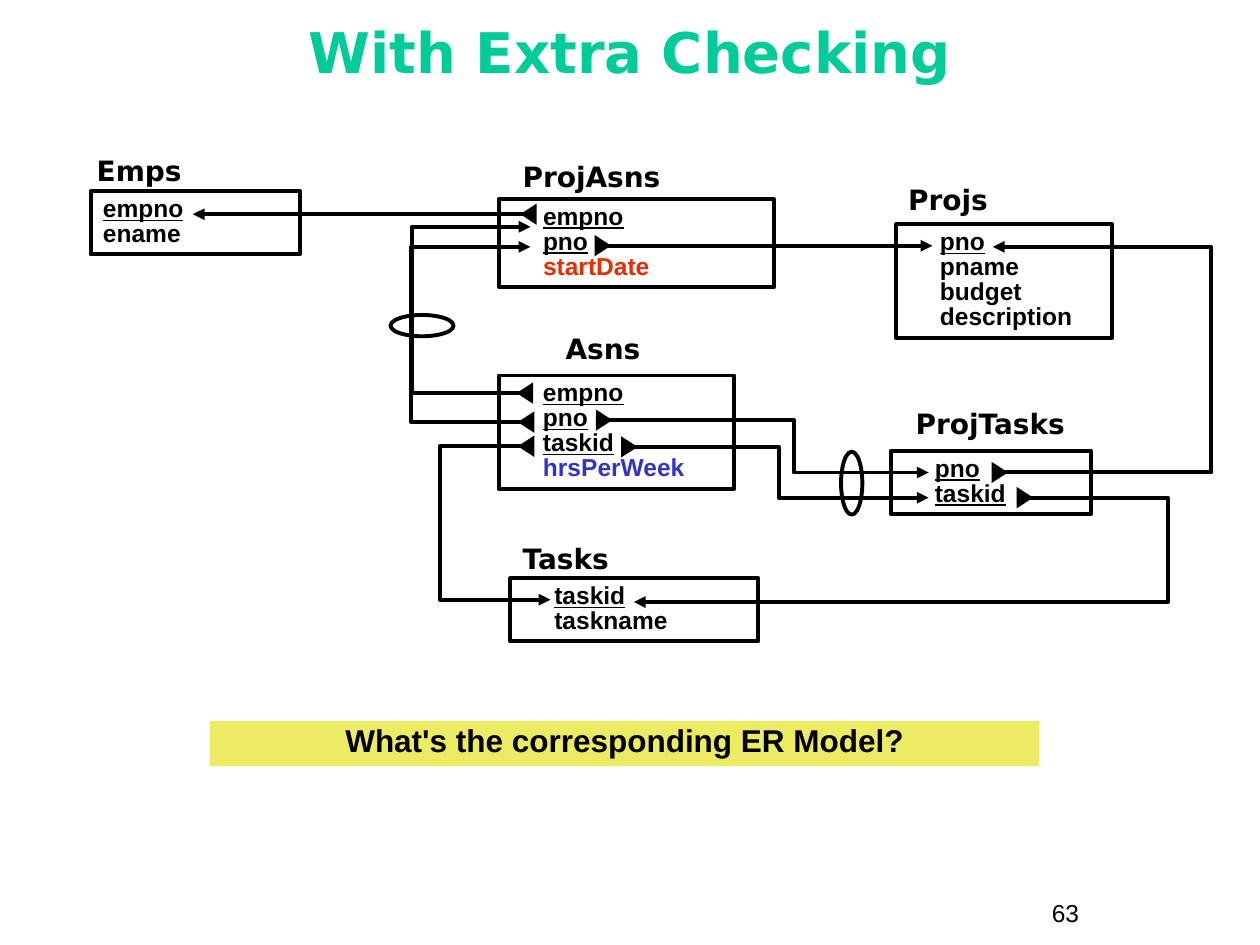
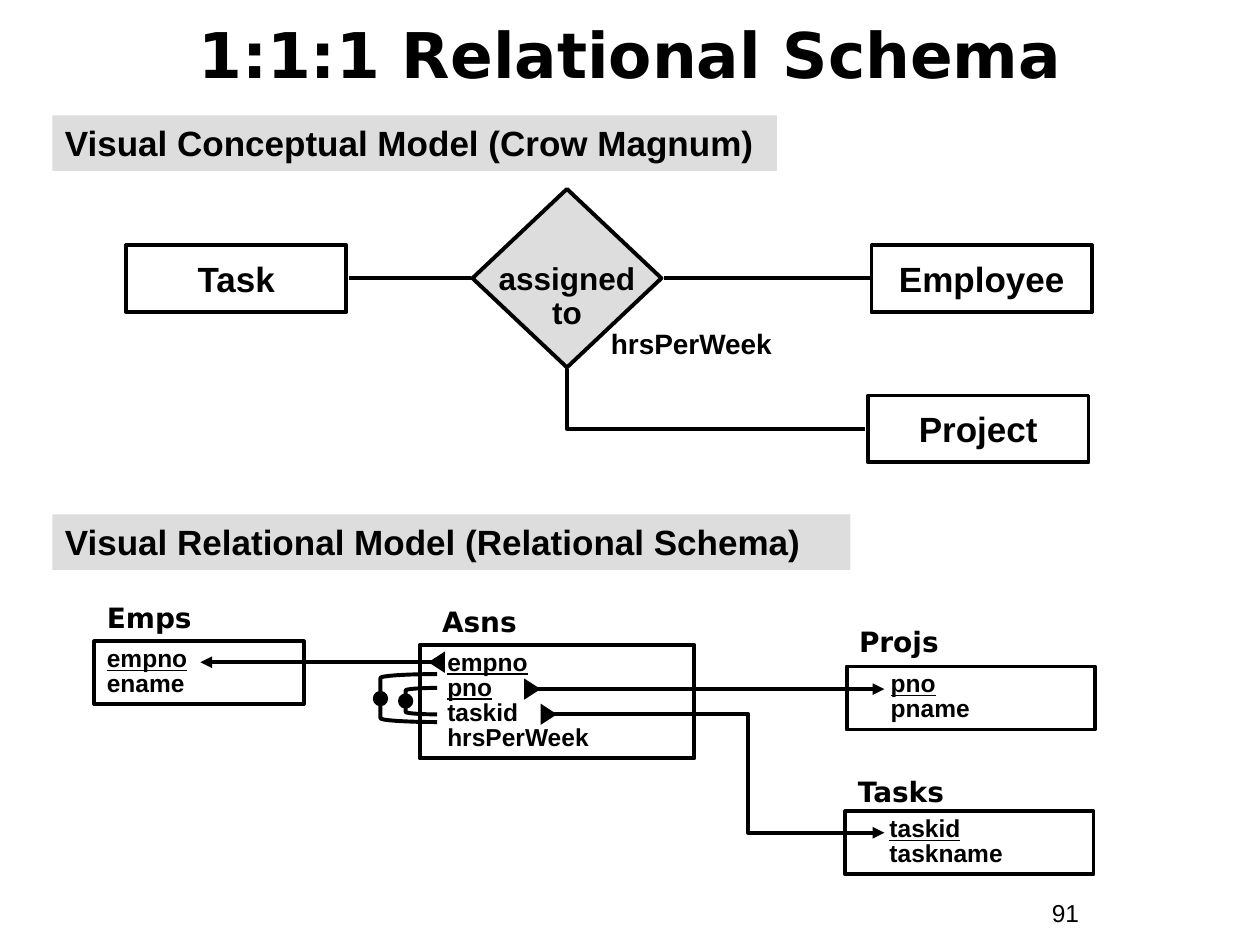
from dataclasses import dataclass
from math import cos, pi, sin

from lxml.etree import SubElement
from pptx import Presentation
from pptx.dml.color import RGBColor
from pptx.enum.shapes import MSO_CONNECTOR as CONN, MSO_SHAPE as SHAPE
from pptx.enum.text import MSO_ANCHOR as ANCHOR, MSO_AUTO_SIZE as AUTO, PP_ALIGN as ALIGN
from pptx.oxml.ns import qn
from pptx.util import Pt


@dataclass(frozen=True)
class Theme:
    black: str = "000000"
    white: str = "FFFFFF"
    green: str = "00CC99"
    red: str = "EA2D00"
    blue: str = "3333CC"
    yellow: str = "EDEA63"
    grey: str = "DDDDDD"
    heading_font: str = "DejaVu Sans"
    body_font: str = "Arial"
    line: float = 2.25
    field: float = 14
    label: float = 16
    question: float = 18
    entity: float = 20


T = Theme()


# Text and basic shapes

def write(tf, lines, size=T.field, font=T.body_font, color=T.black, bold=True,
          underlined=0, colors=None, align=ALIGN.LEFT, spacing=1.0,
          anchor=ANCHOR.TOP, wrap=True, left=7.2, top=3.6, bottom=3.6):
    """Write one paragraph per line; the first `underlined` lines are keys."""
    tf.word_wrap, tf.auto_size, tf.vertical_anchor = wrap, AUTO.NONE, anchor
    tf.margin_left, tf.margin_right = Pt(left), Pt(7.2)
    tf.margin_top, tf.margin_bottom = Pt(top), Pt(bottom)
    for i, line in enumerate(lines):
        p = tf.paragraphs[0] if i == 0 else tf.add_paragraph()
        p.alignment, p.line_spacing = align, spacing
        p.space_before = Pt(0)
        r = p.add_run()
        r.text = line
        f = r.font
        f.name, f.size, f.bold, f.underline = font, Pt(size), bold, i < underlined
        f.color.rgb = RGBColor.from_string((colors or {}).get(line, color))


def text_box(s, box, text, **fmt):
    sp = s.shapes.add_textbox(*map(Pt, box))
    write(sp.text_frame, [text], **fmt)


def style(sp, fill=None, line=True):
    sp.shadow.inherit = False
    if fill:
        sp.fill.solid()
        sp.fill.fore_color.rgb = RGBColor.from_string(fill)
    else:
        sp.fill.background()
    if line:
        sp.line.color.rgb = RGBColor.from_string(T.black)
        sp.line.width = Pt(T.line)
    else:
        sp.line.fill.background()


def shape(s, kind, box, fill=None, line=True):
    sp = s.shapes.add_shape(kind, *map(Pt, box))
    style(sp, fill, line)
    return sp


def connect(s, start, end, via_x=None, arrow=False):
    """Straight line, or an elbow whose vertical part lies at via_x."""
    kind = CONN.STRAIGHT if via_x is None else CONN.ELBOW
    c = s.shapes.add_connector(kind, *map(Pt, (*start, *end)))
    c.line.color.rgb = RGBColor.from_string(T.black)
    c.line.width = Pt(T.line)
    sp_pr = c._element.spPr
    if via_x is not None:
        adj = round((via_x - start[0]) / (end[0] - start[0]) * 100000)
        guides = sp_pr.find(qn("a:prstGeom")).get_or_add_avLst()
        SubElement(guides, qn("a:gd"), name="adj1", fmla=f"val {adj}")
    if arrow:
        SubElement(c.line._get_or_add_ln(), qn("a:tailEnd"), type="triangle")
    SubElement(sp_pr, qn("a:effectLst"))


# Diagram elements

def relation(s, name, label_at, box, fields, keys=1, indent=18, colors=None):
    text_box(s, (*label_at, 115, 26.6), name, size=T.label, font=T.heading_font)
    sp = shape(s, SHAPE.RECTANGLE, box)
    write(sp.text_frame, fields, underlined=keys, colors=colors,
          spacing=0.85, left=7.2 + indent)


def foreign_key(s, start, end, via_x=None):
    """Arrow to the referenced field, with a triangle at the referencing one."""
    connect(s, start, end, via_x, arrow=True)
    w, h = 12.2, 9.4
    x, y = start
    pin = shape(s, SHAPE.ISOSCELES_TRIANGLE, (x - w / 2, y - h / 2, w, h), T.black, False)
    pin.rotation = 90 if (end[0] if via_x is None else via_x) > x else 270


def banner(s, box, text, fill, **fmt):
    sp = shape(s, SHAPE.RECTANGLE, box, fill, line=False)
    write(sp.text_frame, [text], **fmt)


def entity(s, x, y, name):
    sp = shape(s, SHAPE.RECTANGLE, (x, y, 126, 38.2))
    write(sp.text_frame, [name], size=T.entity, align=ALIGN.CENTER,
          anchor=ANCHOR.MIDDLE, wrap=False)


def key_bracket(s, left, right, top, bottom, bend, dot_y):
    """Open bracket joining two fields, with a dot on its spine."""
    turns = [i * pi / 16 for i in range(9)]
    upper = [(right - (right - left) * sin(t), top + bend * (1 - cos(t))) for t in turns]
    lower = [(x, top + bottom - y) for x, y in reversed(upper)]
    points = [(Pt(x), Pt(y)) for x, y in upper + lower]
    builder = s.shapes.build_freeform(*points[0])
    builder.add_line_segments(points[1:], close=False)
    style(builder.convert_to_shape())
    d = 6.5
    shape(s, SHAPE.OVAL, (left - d / 2, dot_y - d / 2, d, d), T.black)


def new_slide(prs, title, number, box, size, color=T.black):
    s = prs.slides.add_slide(prs.slide_layouts[5])
    sp = s.shapes.title
    sp.left, sp.top, sp.width, sp.height = map(Pt, box)
    write(sp.text_frame, [title], size=size, font=T.heading_font, color=color,
          align=ALIGN.CENTER, anchor=ANCHOR.MIDDLE)
    text_box(s, (594, 509.8, 66, 24.5), number, bold=False)
    return s


# Slides

def extra_checking(prs):
    s = new_slide(prs, "With Extra Checking", "63", (24, 5, 672, 48), 32, T.green)

    # Composite key marker behind the links
    shape(s, SHAPE.OVAL, (223.2, 180, 36, 12.2), T.white)

    # Relations
    relation(s, "ProjAsns", (291.6, 87.8), (285.1, 113.8, 157, 50.4),
             ["empno", "pno", "startDate"], keys=2, colors={"startDate": T.red})
    relation(s, "Projs", (511.9, 100.8), (511.9, 128.2, 123.8, 64.8),
             ["pno", "pname", "budget description"])
    relation(s, "Emps", (48.2, 84.2), (51.8, 109.4, 119.5, 36),
             ["empno", "ename"], indent=0)
    relation(s, "Asns", (316.1, 185.8), (285.1, 214.6, 134.6, 64.8),
             ["empno", "pno", "taskid", "hrsPerWeek"], keys=3,
             colors={"hrsPerWeek": T.blue})
    relation(s, "Tasks", (291.6, 306), (291.6, 330.5, 141.8, 36),
             ["taskid", "taskname"])
    relation(s, "ProjTasks", (516.2, 229), (509, 257.8, 114.5, 36),
             ["pno", "taskid"], keys=2)

    # Foreign keys: start, end, x of the vertical part
    for link in (
        ((302, 122.4), (110.2, 122.4)),
        ((344.5, 140.4), (532.8, 140.4)),
        ((299.9, 224.6), (303.1, 129.6), 235.4),
        ((300.6, 241.2), (303.1, 141.1), 234.7),
        ((300.6, 255), (314.6, 342.7), 251.3),
        ((585.7, 284.4), (362.2, 344), 667.4),
        ((571.3, 270), (567.4, 141.1), 691.9),
        ((345.2, 240.1), (530.6, 270), 453.6),
        ((359.6, 255.4), (530.6, 284.4), 445),
    ):
        foreign_key(s, *link)

    shape(s, SHAPE.OVAL, (468.7, 270, 36, 12.2)).rotation = 270
    banner(s, (120, 412, 474, 25.9), "What's the corresponding ER Model?", T.yellow,
           size=T.question, align=ALIGN.CENTER, spacing=0.85)


def relational_schema(prs):
    s = new_slide(prs, "1:1:1 Relational Schema", "91", (24, 3.6, 672, 54), 36)

    # Section headings
    banner(s, (30, 66, 414, 31.7), "Visual Conceptual Model (Crow Magnum)",
           T.grey, size=T.entity)
    banner(s, (30, 294, 456, 31.7), "Visual Relational Model (Relational Schema)",
           T.grey, size=T.entity)

    # Conceptual model
    diamond = shape(s, SHAPE.FLOWCHART_DECISION, (270, 108, 108, 102), T.grey)
    write(diamond.text_frame, ["assigned", "to"], size=T.question, spacing=0.9,
          align=ALIGN.CENTER, wrap=False, top=17, bottom=0)
    entity(s, 72, 140.2, "Task")
    entity(s, 498, 140.2, "Employee")
    entity(s, 496, 226, "Project")
    connect(s, (379.4, 159.1), (497, 159.1))
    connect(s, (199.4, 159.1), (269.3, 159.1))
    connect(s, (494.6, 245), (324, 211), via_x=324)
    text_box(s, (342, 185.2, 126, 24.5), "hrsPerWeek", size=T.label, spacing=0.9)

    # Relations
    relation(s, "Asns", (245.5, 342), (239.8, 368.6, 157, 64.8),
             ["empno", "pno", "taskid", "hrsPerWeek"], keys=2, indent=8.6)
    relation(s, "Projs", (483.8, 353.5), (483.8, 380.9, 141.8, 36), ["pno", "pname"])
    relation(s, "Emps", (54, 339.8), (54, 366.5, 119.5, 36),
             ["empno", "ename"], indent=0)
    relation(s, "Tasks", (483.1, 439.2), (483.1, 463.7, 141.8, 36),
             ["taskid", "taskname"])

    # Foreign keys and alternate keys
    foreign_key(s, (249.5, 378.4), (114.5, 378.4))
    foreign_key(s, (304.2, 393.8), (505.4, 393.8))
    foreign_key(s, (313.6, 408.2), (505.4, 475.9), 427.7)
    key_bracket(s, 231.8, 249.8, 393.1, 408.2, 1.4, 400.6)
    key_bracket(s, 217.4, 249.8, 385.2, 412.6, 2.2, 399.2)


def main():
    prs = Presentation()
    prs.slide_width, prs.slide_height = Pt(720), Pt(540)
    extra_checking(prs)
    relational_schema(prs)
    prs.save("out.pptx")


if __name__ == "__main__":
    main()
